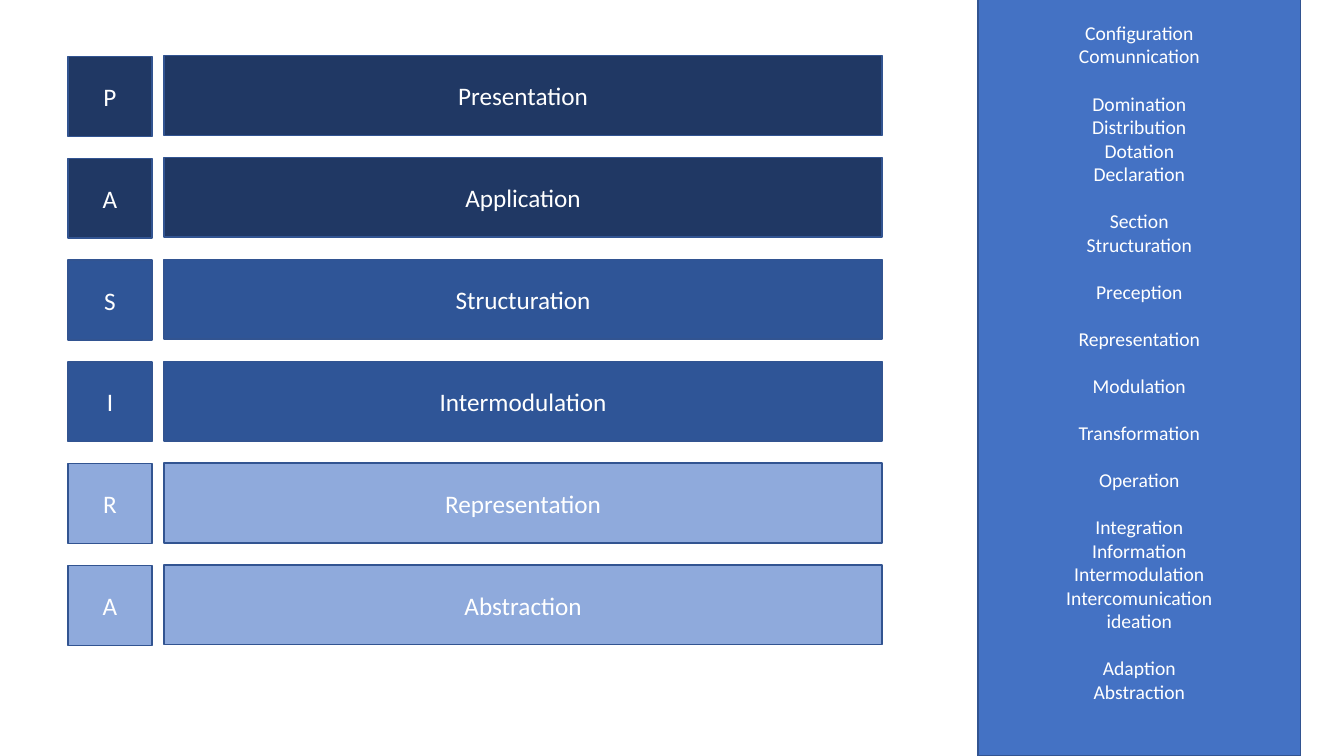
from dataclasses import dataclass

from pptx import Presentation
from pptx.dml.color import RGBColor
from pptx.enum.shapes import MSO_SHAPE
from pptx.enum.text import MSO_ANCHOR, PP_ALIGN
from pptx.shapes.autoshape import Shape
from pptx.slide import Slide
from pptx.util import Pt


@dataclass(frozen=True)
class Theme:
    font: str = "Calibri"
    text: str = "FFFFFF"
    outline: str = "325491"
    dark: str = "203864"
    medium: str = "2F5597"
    light: str = "8FAADC"
    panel: str = "4472C4"
    outline_width: float = 1
    layer_size: float = 18
    term_size: float = 14


@dataclass(frozen=True)
class Box:
    left: float
    top: float
    width: float
    height: float


@dataclass(frozen=True)
class Layer:
    name: str
    fill: str


THEME = Theme()
LAYERS = [
    Layer("Presentation", THEME.dark),
    Layer("Application", THEME.dark),
    Layer("Structuration", THEME.medium),
    Layer("Intermodulation", THEME.medium),
    Layer("Representation", THEME.light),
    Layer("Abstraction", THEME.light),
]
TERM_GROUPS = [
    ["Configuration", "Comunnication"],
    ["Domination", "Distribution", "Dotation", "Declaration"],
    ["Section", "Structuration"],
    ["Preception"],
    ["Representation"],
    ["Modulation"],
    ["Transformation"],
    ["Operation"],
    ["Integration", "Information", "Intermodulation", "Intercomunication", "ideation"],
    ["Adaption", "Abstraction"],
]
INITIAL_TILE = Box(48.7, 40.4, 59.8, 57)
INITIAL_PITCH = 72.7
NAME_BAR = Box(117.2, 39.6, 512.9, 57)
NAME_PITCH = 72.8
TERM_PANEL = Box(698.5, -0.7, 230.6, 540.7)
GROUP_GAP = 16.8
PANEL_BOTTOM_MARGIN = 25.6


def add_block(slide: Slide, box: Box, fill: str) -> Shape:
    shape = slide.shapes.add_shape(
        MSO_SHAPE.RECTANGLE, Pt(box.left), Pt(box.top), Pt(box.width), Pt(box.height)
    )
    shape.shadow.inherit = False
    shape.fill.solid()
    shape.fill.fore_color.rgb = RGBColor.from_string(fill)
    shape.line.color.rgb = RGBColor.from_string(THEME.outline)
    shape.line.width = Pt(THEME.outline_width)
    shape.text_frame.word_wrap = True
    shape.text_frame.vertical_anchor = MSO_ANCHOR.MIDDLE
    return shape


def write_groups(shape: Shape, groups: list[list[str]], size: float) -> None:
    text_frame = shape.text_frame
    for group_index, group in enumerate(groups):
        for line_index, text in enumerate(group):
            starts_group = line_index == 0
            is_first = group_index == 0 and starts_group
            paragraph = text_frame.paragraphs[0] if is_first else text_frame.add_paragraph()
            paragraph.alignment = PP_ALIGN.CENTER
            paragraph.space_before = Pt(GROUP_GAP if starts_group and not is_first else 0)
            run = paragraph.add_run()
            run.text = text
            run.font.name = THEME.font
            run.font.size = Pt(size)
            run.font.color.rgb = RGBColor.from_string(THEME.text)


def add_layer_block(slide: Slide, first: Box, pitch: float, row: int, text: str, fill: str) -> None:
    box = Box(first.left, first.top + row * pitch, first.width, first.height)
    write_groups(add_block(slide, box, fill), [[text]], THEME.layer_size)


def add_term_panel(slide: Slide) -> None:
    panel = add_block(slide, TERM_PANEL, THEME.panel)
    panel.text_frame.margin_bottom = Pt(PANEL_BOTTOM_MARGIN)
    write_groups(panel, TERM_GROUPS, THEME.term_size)


def main() -> None:
    presentation = Presentation()
    presentation.slide_width = Pt(960)
    presentation.slide_height = Pt(540)
    slide = presentation.slides.add_slide(presentation.slide_layouts.get_by_name("Blank"))
    for row, layer in enumerate(LAYERS):
        add_layer_block(slide, INITIAL_TILE, INITIAL_PITCH, row, layer.name[0], layer.fill)
        add_layer_block(slide, NAME_BAR, NAME_PITCH, row, layer.name, layer.fill)
    add_term_panel(slide)
    presentation.save("out.pptx")


if __name__ == "__main__":
    main()
